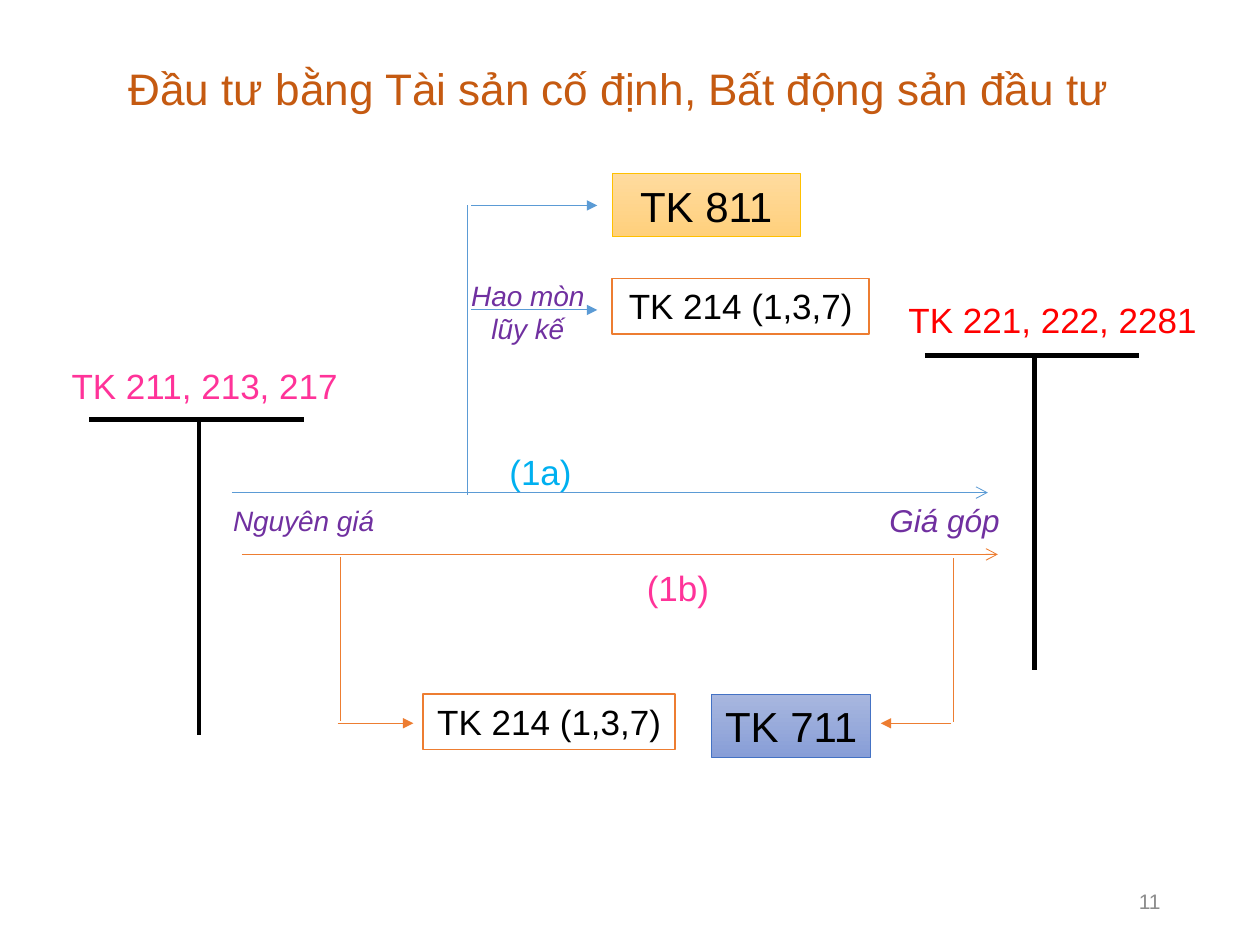
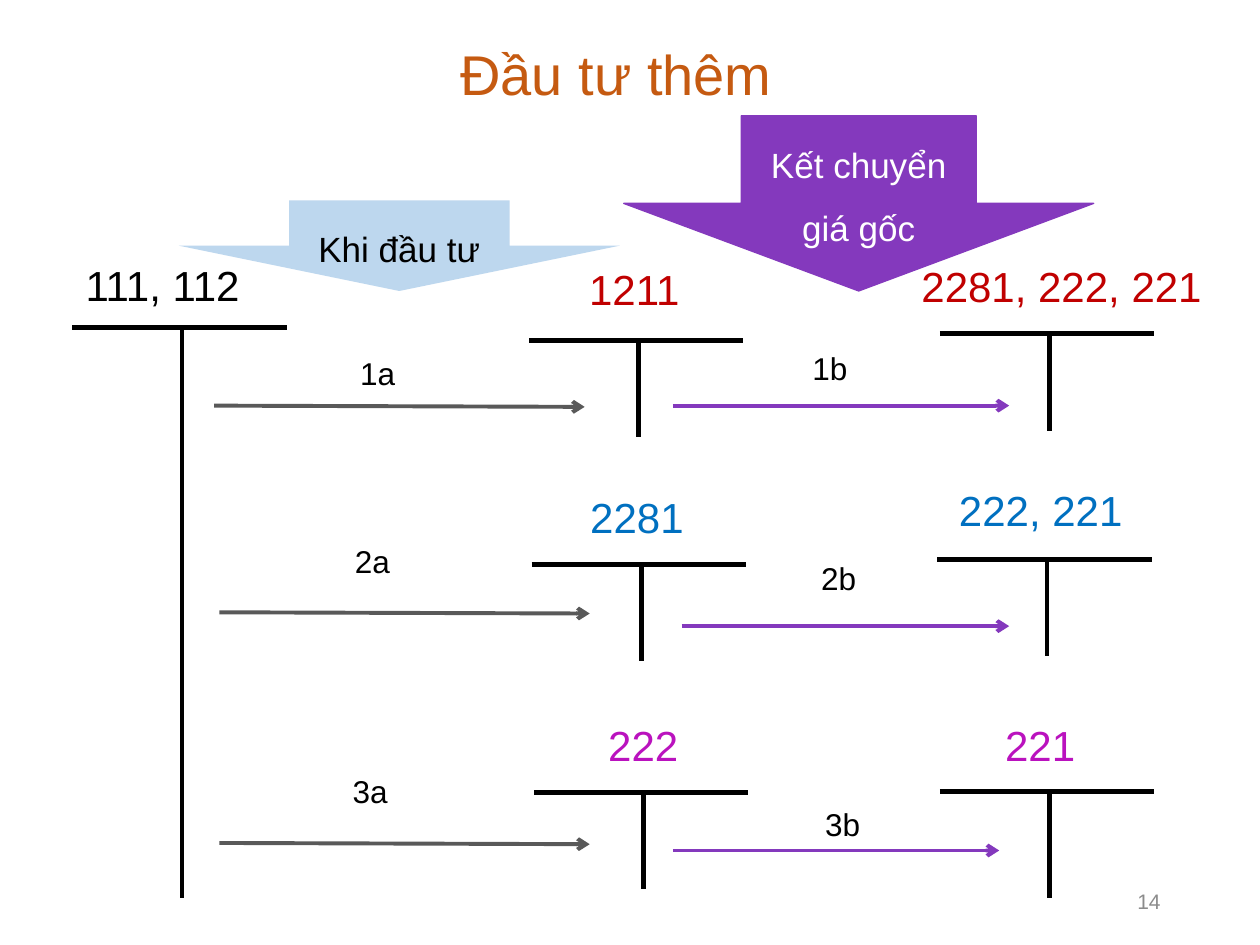
"""Build two slides of T-account diagrams on investment bookkeeping."""
from dataclasses import dataclass
from typing import Optional

import pptx
import pptx.dml.color
import pptx.enum.shapes
import pptx.enum.text
import pptx.oxml
import pptx.oxml.ns
import pptx.util

Pt = pptx.util.Pt
Align = pptx.enum.text.PP_ALIGN
Anchor = pptx.enum.text.MSO_ANCHOR
Preset = pptx.enum.shapes.MSO_SHAPE

FONT = "Arial"
BLACK, WHITE, GREY, CHARCOAL = "000000", "FFFFFF", "8C8C8C", "595959"
RUST, ORANGE, BLUE, GOLD, INDIGO = "C55A11", "ED7D31", "5B9BD5", "FFC000", "4472C4"
RED, CRIMSON, PINK, MAGENTA = "FF0000", "C00000", "FF3399", "BA12BE"
PURPLE, VIOLET, SKY, OCEAN, PALE_BLUE = "7030A0", "8439BD", "00B0F0", "0070C0", "BDD7EE"

BAR_WIDTH = 122.4
STEM_OFFSET = 62.6
ACCOUNT_WEIGHT = 2.75


@dataclass(frozen=True)
class Label:
    """Text with its place and style."""
    left: float
    top: float
    width: float
    height: float
    text: str
    size: float
    color: str = BLACK
    italic: bool = False
    align: Align = Align.CENTER
    spacing: Optional[float] = None
    wrap: bool = True
    anchor: Anchor = Anchor.TOP
    grow: bool = True


@dataclass(frozen=True)
class Block:
    """A filled preset shape that carries a label."""
    label: Label
    fill: tuple[str, ...]
    outline: Optional[str] = None
    weight: float = 0.5
    preset: Preset = Preset.RECTANGLE


@dataclass(frozen=True)
class Flow:
    """A straight line, with an arrowhead if one is named."""
    x1: float
    y1: float
    x2: float
    y2: float
    color: str
    weight: float = 0.5
    head: Optional[str] = None


@dataclass(frozen=True)
class Account:
    """A T-account: a bar with a stem under it."""
    left: float
    top: float
    height: float


def rgb(value: str) -> pptx.dml.color.RGBColor:
    """Turn a hex string into a colour."""
    return pptx.dml.color.RGBColor.from_string(value)


def write_text(box, label: Label) -> None:
    """Write the label into a shape or text box."""
    frame = box.text_frame
    frame.word_wrap = label.wrap
    frame.vertical_anchor = label.anchor
    if label.grow:
        frame.auto_size = pptx.enum.text.MSO_AUTO_SIZE.SHAPE_TO_FIT_TEXT
    para = frame.paragraphs[0]
    para.alignment = label.align
    if label.spacing:
        para.line_spacing = label.spacing
    span = para.add_run()
    span.text = label.text
    span.font.name = FONT
    span.font.size = Pt(label.size)
    span.font.italic = label.italic
    span.font.color.rgb = rgb(label.color)


def frame_of(label: Label) -> tuple:
    """Give the label's left, top, width and height as lengths."""
    return tuple(Pt(v) for v in (label.left, label.top, label.width, label.height))


def draw_label(page, label: Label) -> None:
    """Draw a text box."""
    write_text(page.shapes.add_textbox(*frame_of(label)), label)


def draw_block(page, block: Block) -> None:
    """Draw a shape with a plain fill or a downward gradient."""
    box = page.shapes.add_shape(block.preset, *frame_of(block.label))
    box.shadow.inherit = False
    if len(block.fill) == 1:
        box.fill.solid()
        box.fill.fore_color.rgb = rgb(block.fill[0])
    else:
        box.fill.gradient()
        box.fill.gradient_angle = 270
        for stop, color in zip(box.fill.gradient_stops, block.fill):
            stop.color.rgb = rgb(color)
    if block.outline:
        box.line.color.rgb = rgb(block.outline)
        box.line.width = Pt(block.weight)
    else:
        box.line.fill.background()
    write_text(box, block.label)


def draw_flow(page, flow: Flow) -> None:
    """Draw a connector without a shadow."""
    ends = (Pt(v) for v in (flow.x1, flow.y1, flow.x2, flow.y2))
    line = page.shapes.add_connector(pptx.enum.shapes.MSO_CONNECTOR.STRAIGHT, *ends)
    line.line.color.rgb = rgb(flow.color)
    line.line.width = Pt(flow.weight)
    if flow.head:
        tail = pptx.oxml.parse_xml(
            f'<a:tailEnd {pptx.oxml.ns.nsdecls("a")} type="{flow.head}"/>')
        line.line._get_or_add_ln().append(tail)
    effects = pptx.oxml.parse_xml(f'<a:effectLst {pptx.oxml.ns.nsdecls("a")}/>')
    line._element.spPr.append(effects)


def draw_account(page, account: Account) -> None:
    """Draw the stem and the bar of a T-account."""
    left, top = account.left, account.top
    stem = left + STEM_OFFSET
    draw_flow(page, Flow(stem, top, stem, top + account.height, BLACK, ACCOUNT_WEIGHT))
    draw_flow(page, Flow(left, top, left + BAR_WIDTH, top, BLACK, ACCOUNT_WEIGHT))


DRAW = {Label: draw_label, Block: draw_block, Flow: draw_flow, Account: draw_account}


def add_page(deck, title: Label, number: str, items: list) -> None:
    """Add a slide with its title, items and slide number."""
    page = deck.slides.add_slide(deck.slide_layouts[6])
    footer = Label(508.3, 500.4, 162, 28.8, number, 12, GREY, align=Align.RIGHT,
                   anchor=Anchor.MIDDLE, grow=False)
    for item in [title, *items, footer]:
        DRAW[type(item)](page, item)


def title_label(left: float, top: float, height: float, text: str, size: float) -> Label:
    """Give a slide title in the shared style."""
    return Label(left, top, 620.6, height, text, size, RUST, spacing=1.5,
                 anchor=Anchor.MIDDLE, grow=False)


def asset_items() -> list:
    """List the items of the fixed asset slide."""
    return [
        Block(Label(349.9, 159.1, 146.9, 31.7, "TK 214 (1,3,7)", 20), (WHITE,), ORANGE, 1),
        Block(Label(241.9, 396.7, 144, 31.7, "TK 214 (1,3,7)", 20), (WHITE,), ORANGE, 1),
        Block(Label(406.8, 396.7, 90.7, 36, "TK 711", 24), ("A8B7DF", "889ED7"), INDIGO),
        Block(Label(349.9, 99.4, 107.3, 36, "TK 811", 24), ("FFDB9E", "FFD07C"), GOLD),
        Label(504, 167, 195.1, 31.7, "TK 221, 222, 2281", 20, RED),
        Label(32.4, 204.5, 169.2, 31.7, "TK 211, 213, 217", 20, PINK),
        Account(528.5, 203, 180),
        Account(51.1, 239.8, 180),
        Label(272.9, 241.9, 72, 38.9, "(1a)", 20, SKY, spacing=1.5),
        Label(351.4, 308.2, 72, 38.9, "(1b)", 20, PINK, spacing=1.5),
        Label(121.7, 284.4, 103.7, 26.6, "Nguyên giá", 16, PURPLE, True),
        Label(501.1, 283, 78.5, 28.8, "Giá góp", 18, PURPLE, True, Align.LEFT, wrap=False),
        Flow(269.3, 177.1, 341.3, 177.1, BLUE, head="triangle"),
        Label(259.9, 155.5, 83.5, 46.1, "Hao mòn lũy kế", 16, PURPLE, True),
        Flow(269.3, 117.4, 341.3, 117.4, BLUE, head="triangle"),
        Flow(267.1, 117.4, 267.1, 283, BLUE),
        Flow(132.5, 281.5, 564.5, 281.5, BLUE, head="arrow"),
        Flow(138.2, 316.8, 570.2, 316.8, ORANGE, head="arrow"),
        Flow(194.4, 318.2, 194.4, 411.8, ORANGE),
        Flow(193, 413.3, 236.2, 413.3, ORANGE, head="triangle"),
        Flow(545, 319, 545, 412.6, ORANGE),
        Flow(543.6, 413.3, 503.3, 413.3, ORANGE, head="triangle"),
    ]


def further_items() -> list:
    """List the items of the further investment slide."""
    accounts = [
        Account(41.4, 187.2, 326.2),
        Account(302.4, 194.4, 55.4), Account(537.1, 190.8, 55.4),
        Account(303.8, 322.6, 54.9), Account(535.7, 319.7, 54.9),
        Account(305.3, 452.9, 54.9), Account(537.1, 452.2, 61.2),
    ]
    names = [
        (5.8, 144.7, 174.2, "111, 112", BLACK),
        (307.4, 146.9, 110.2, "1211", CRIMSON), (507.6, 145.4, 198, "2281, 222, 221", CRIMSON),
        (308.9, 277.2, 110.2, "2281", OCEAN), (507.6, 273.6, 174.2, "222, 221", OCEAN),
        (312.5, 407.5, 110.2, "222", MAGENTA), (495.4, 407.5, 198, "221", MAGENTA),
    ]
    steps = [
        (198.7, 198.7, "1a"), (457.2, 195.8, "1b"),
        (195.8, 306, "2a"), (462.2, 316.1, "2b"),
        (194.4, 437.8, "3a"), (464.4, 456.5, "3b"),
    ]
    investing = [(122.4, 231.8), (125.3, 349.9), (125.3, 481.7)]
    transfers = [(384.5, 576.7, 231.8), (389.5, 576.7, 357.8), (384.5, 571, 486)]
    return [
        *accounts,
        *(Label(x, y, w, 36, text, 24, color) for x, y, w, text, color in names),
        *(Label(x, y, 52.6, 28.8, text, 18, align=Align.LEFT) for x, y, text in steps),
        *(Flow(x, y, x + 211.7, y + 0.7, CHARCOAL, 2.25, "arrow") for x, y in investing),
        *(Flow(x1, y, x2, y, VIOLET, 2.25, "arrow") for x1, x2, y in transfers),
        Block(Label(102.2, 114.5, 252, 51.8, "Khi đầu tư", 20, spacing=1.5),
              (PALE_BLUE,), preset=Preset.DOWN_ARROW),
        Block(Label(356.4, 66.2, 268.6, 100.1, "Kết chuyển giá gốc", 20, WHITE, spacing=1.5),
              (VIOLET,), VIOLET, 0.75, Preset.DOWN_ARROW),
    ]


def main() -> None:
    """Build and save the deck."""
    deck = pptx.Presentation()
    deck.slide_width, deck.slide_height = Pt(720), Pt(540)
    asset_title = "Đầu tư bằng Tài sản cố định, Bất động sản đầu tư"
    add_page(deck, title_label(43.2, 15.1, 54.7, asset_title, 25.2), "11", asset_items())
    add_page(deck, title_label(41.8, 5.8, 52.6, "Đầu tư thêm", 32), "14", further_items())
    deck.save("out.pptx")


if __name__ == "__main__":
    main()
